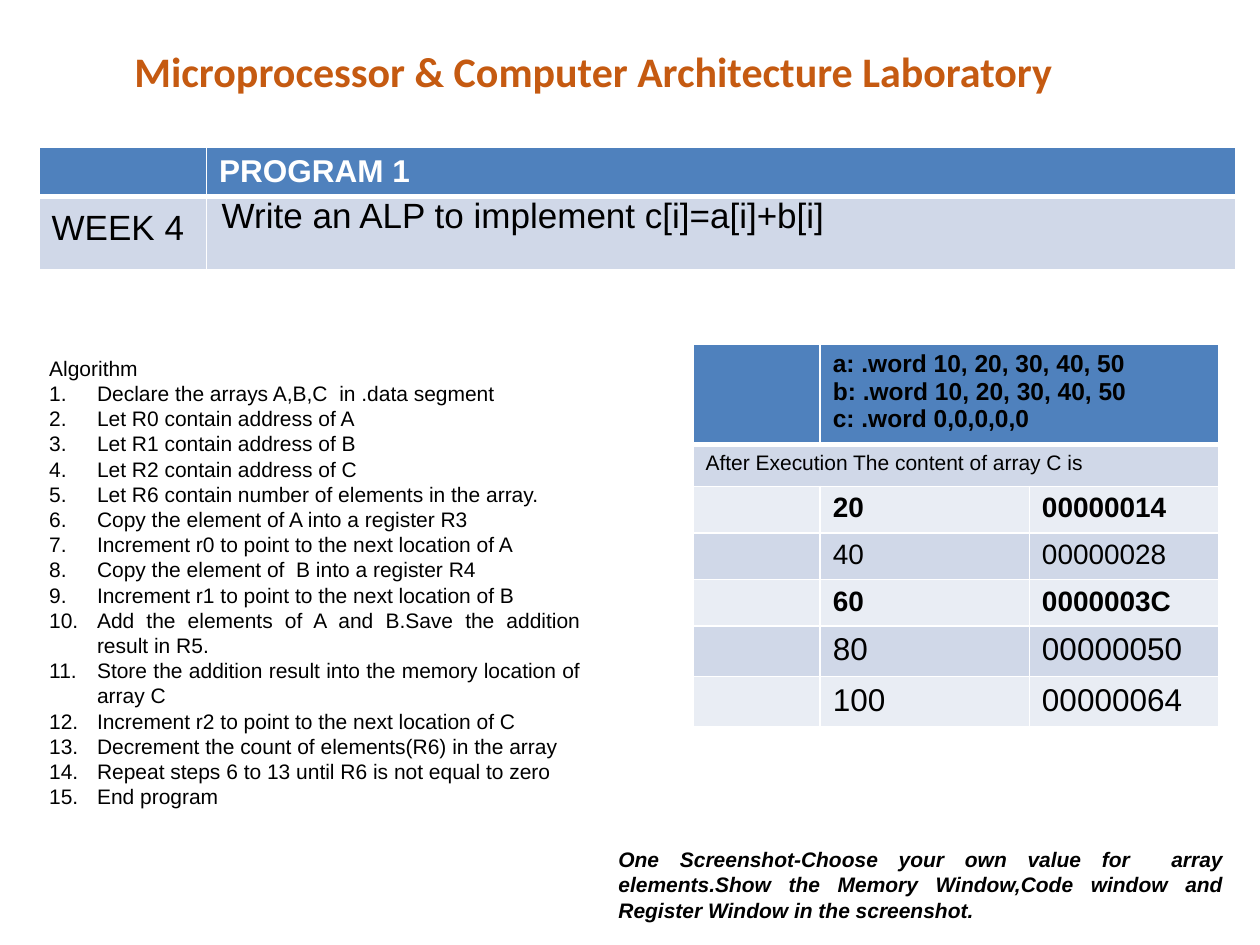
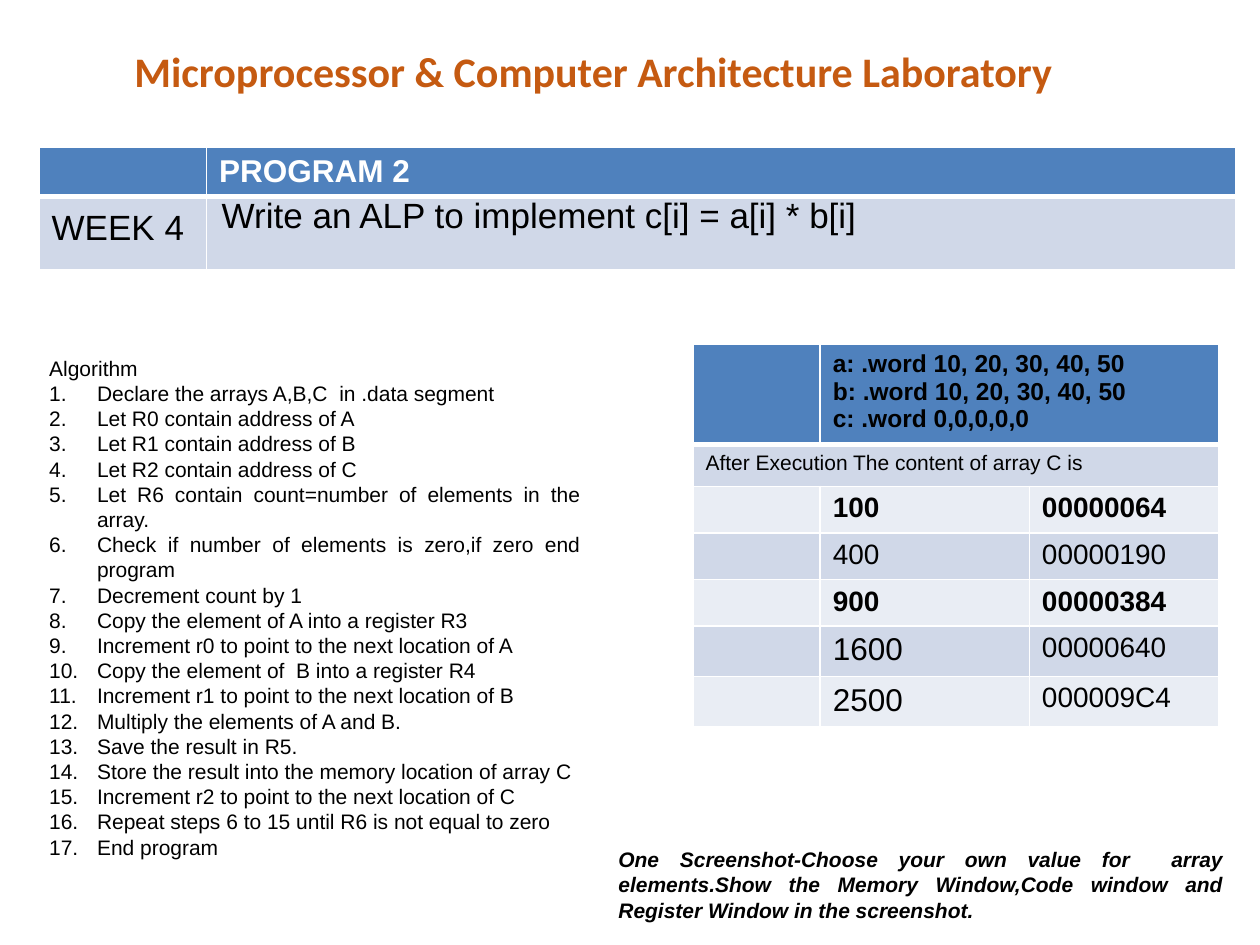
from pptx import Presentation
from pptx.dml.color import RGBColor
from pptx.enum.text import MSO_ANCHOR, MSO_AUTO_SIZE, PP_ALIGN
from pptx.oxml.ns import qn
from pptx.util import Inches, Pt
from lxml import etree

ORANGE = RGBColor(0xC5, 0x5A, 0x11)
BLUE = RGBColor(0x4F, 0x81, 0xBD)
BAND_DARK = RGBColor(0xD0, 0xD8, 0xE8)
BAND_LIGHT = RGBColor(0xE9, 0xED, 0xF4)
WHITE = RGBColor(0xFF, 0xFF, 0xFF)
BLACK = RGBColor(0, 0, 0)
CENTER, JUSTIFY, LEFT = PP_ALIGN.CENTER, PP_ALIGN.JUSTIFY, PP_ALIGN.LEFT
TOP, MIDDLE = MSO_ANCHOR.TOP, MSO_ANCHOR.MIDDLE
NO_FIT = MSO_AUTO_SIZE.NONE

COURSE = "Microprocessor & Computer Architecture Laboratory"
WEEK = "WEEK 4"
DATA_SEGMENT = [
    "a: .word 10, 20, 30, 40, 50",
    "b: .word 10, 20, 30, 40, 50",
    "c: .word 0,0,0,0,0",
]
RESULT_CAPTION = "After Execution The content of array C is"
SCREENSHOT_NOTE = (
    "One Screenshot-Choose your own value for  array elements."
    "Show the Memory Window,Code window and Register Window in the screenshot."
)
LOAD_ADDRESSES = [
    "Declare the arrays A,B,C  in .data segment",
    "Let R0 contain address of A",
    "Let R1 contain address of B",
    "Let R2 contain address of C",
]
COPY_ELEMENTS = [
    "Copy the element of A into a register R3",
    "Increment r0 to point to the next location of A",
    "Copy the element of  B into a register R4",
    "Increment r1 to point to the next location of B",
]
NEXT_RESULT = "Increment r2 to point to the next location of C"
END = "End program"

PROGRAMS = [
    {
        "name": "PROGRAM 1",
        "task": "Write an ALP to implement c[i]=a[i]+b[i]",
        "steps": [
            *LOAD_ADDRESSES,
            "Let R6 contain number of elements in the array.",
            *COPY_ELEMENTS,
            "Add the elements of A and B.Save the addition result in R5.",
            "Store the addition result into the memory location of array C",
            NEXT_RESULT,
            "Decrement the count of elements(R6) in the array",
            "Repeat steps 6 to 13 until R6 is not equal to zero",
            END,
        ],
        "results": [20, 40, 60, 80, 100],
        "hex_sizes": [16, 16, 16, 18, 18],
        "algorithm_height": 4.34,
    },
    {
        "name": "PROGRAM 2",
        "task": "Write an ALP to implement c[i] = a[i] * b[i]",
        "steps": [
            *LOAD_ADDRESSES,
            "Let R6 contain count=number of elements in the array.",
            "Check if number of elements is zero,if zero end program",
            "Decrement count by 1",
            *COPY_ELEMENTS,
            "Multiply the elements of A and B.",
            "Save the result in R5.",
            "Store the result into the memory location of array C",
            NEXT_RESULT,
            "Repeat steps 6 to 15 until R6 is not equal to zero",
            END,
        ],
        "results": [100, 400, 900, 1600, 2500],
        "hex_sizes": [16] * 5,
        "algorithm_height": 4.75,
    },
]
DECIMAL_SIZES = [16, 16, 16, 18, 18]


def write(frame, lines, size, color=BLACK, align=LEFT, font="Arial", **style):
    frame.text = "\n".join(lines)
    formats = {"size": Pt(size), "name": font, "bold": False, **style}
    for paragraph in frame.paragraphs:
        paragraph.alignment = align
        paragraph.space_before = Pt(0)
        for run in paragraph.runs:
            for attribute, value in formats.items():
                setattr(run.font, attribute, value)
            run.font.color.rgb = color


def place(shape, left, top, width, height, anchor):
    for attribute, value in zip(("left", "top", "width", "height"), (left, top, width, height)):
        setattr(shape, attribute, Inches(value))
    frame = shape.text_frame
    frame.word_wrap = True
    frame.auto_size = NO_FIT
    frame.vertical_anchor = anchor
    return frame


def set_bullet(paragraph, kind, indent=0):
    properties = paragraph._p.get_or_add_pPr()
    properties.set("marL", str(Inches(indent)))
    properties.set("indent", str(-Inches(indent)))
    bullet = etree.SubElement(properties, qn(f"a:{kind}"))
    if kind == "buAutoNum":
        bullet.set("type", "arabicPeriod")


def set_borders(cell, top, bottom):
    properties = cell._tc.get_or_add_tcPr()
    for side, width in {"L": 1, "R": 1, "T": top, "B": bottom}.items():
        line = etree.SubElement(properties, qn(f"a:ln{side}"), w=str(Pt(width)))
        fill = etree.SubElement(line, qn("a:solidFill"))
        etree.SubElement(fill, qn("a:srgbClr"), val=str(WHITE))


def add_grid(slide, left, top, widths, heights):
    table = slide.shapes.add_table(
        len(heights), len(widths), Inches(left), Inches(top),
        Inches(sum(widths)), Inches(sum(heights)),
    ).table
    table.first_row = table.horz_banding = False
    for column, width in zip(table.columns, widths):
        column.width = Inches(width)
    for index, (row, height) in enumerate(zip(table.rows, heights)):
        row.height = Inches(height)
        for cell in row.cells:
            set_borders(cell, 3 if index == 1 else 1, 3 if index == 0 else 1)
            cell.fill.solid()
            band = BAND_DARK if index % 2 else BAND_LIGHT
            cell.fill.fore_color.rgb = band if index else BLUE
            etree.SubElement(cell.text_frame.paragraphs[0]._p, qn("a:endParaRPr"), sz="1200")
    return table


def add_title(slide):
    frame = place(slide.shapes.title, 0.25, 0.31, 8.92, 0.5, MIDDLE)
    write(frame, [COURSE], 24, ORANGE, CENTER, "Calibri", bold=True)


def add_program_table(slide, name, task):
    table = add_grid(slide, 0.31, 1.17, [1.33, 8.17], [0.39, 0.58])
    write(table.cell(0, 1).text_frame, [name], 18, WHITE, bold=True)
    week = table.cell(1, 0).text_frame
    write(week, [WEEK], 20, align=JUSTIFY)
    week.paragraphs[0].line_spacing = 1.15
    task_cell = table.cell(1, 1)
    write(task_cell.text_frame, [task], 20)
    task_cell.margin_left = task_cell.margin_right = Inches(0.12)
    task_cell.margin_top = task_cell.margin_bottom = 0


def add_result_table(slide, results, hex_sizes):
    heights = [0.8, 0.33] + [0.37] * 3 + [0.4] * 2
    table = add_grid(slide, 5.5, 2.73, [1.01, 1.66, 1.5], heights)
    table.cell(0, 1).merge(table.cell(0, 2))
    table.cell(1, 0).merge(table.cell(1, 2))
    write(table.cell(0, 1).text_frame, DATA_SEGMENT, 14, align=JUSTIFY, bold=True)
    write(table.cell(1, 0).text_frame, [RESULT_CAPTION], 12)
    for index, (value, size, hex_size) in enumerate(zip(results, DECIMAL_SIZES, hex_sizes)):
        bold = index in (0, 2)
        write(table.cell(index + 2, 1).text_frame, [str(value)], size, bold=bold)
        write(table.cell(index + 2, 2).text_frame, [f"{value:08X}"], hex_size, bold=bold)


def add_algorithm(slide, steps, height):
    frame = place(slide.placeholders[1], 0.29, 2.77, 4.42, height, TOP)
    write(frame, ["Algorithm", *steps], 12, align=JUSTIFY)
    heading, *numbered = frame.paragraphs
    set_bullet(heading, "buNone")
    for paragraph in numbered:
        set_bullet(paragraph, "buAutoNum", 0.38)


def add_screenshot_note(slide):
    note = slide.shapes.add_textbox(0, 0, 0, 0)
    frame = place(note, 4.81, 6.67, 5, 0.71, TOP)
    write(frame, [SCREENSHOT_NOTE], 12, align=JUSTIFY, bold=True, italic=True)


def main():
    deck = Presentation()
    deck.slide_width, deck.slide_height = Inches(10), Inches(7.5)
    for program in PROGRAMS:
        slide = deck.slides.add_slide(deck.slide_layouts[1])
        add_title(slide)
        add_program_table(slide, program["name"], program["task"])
        add_result_table(slide, program["results"], program["hex_sizes"])
        add_algorithm(slide, program["steps"], program["algorithm_height"])
        add_screenshot_note(slide)
    deck.save("out.pptx")


if __name__ == "__main__":
    main()
